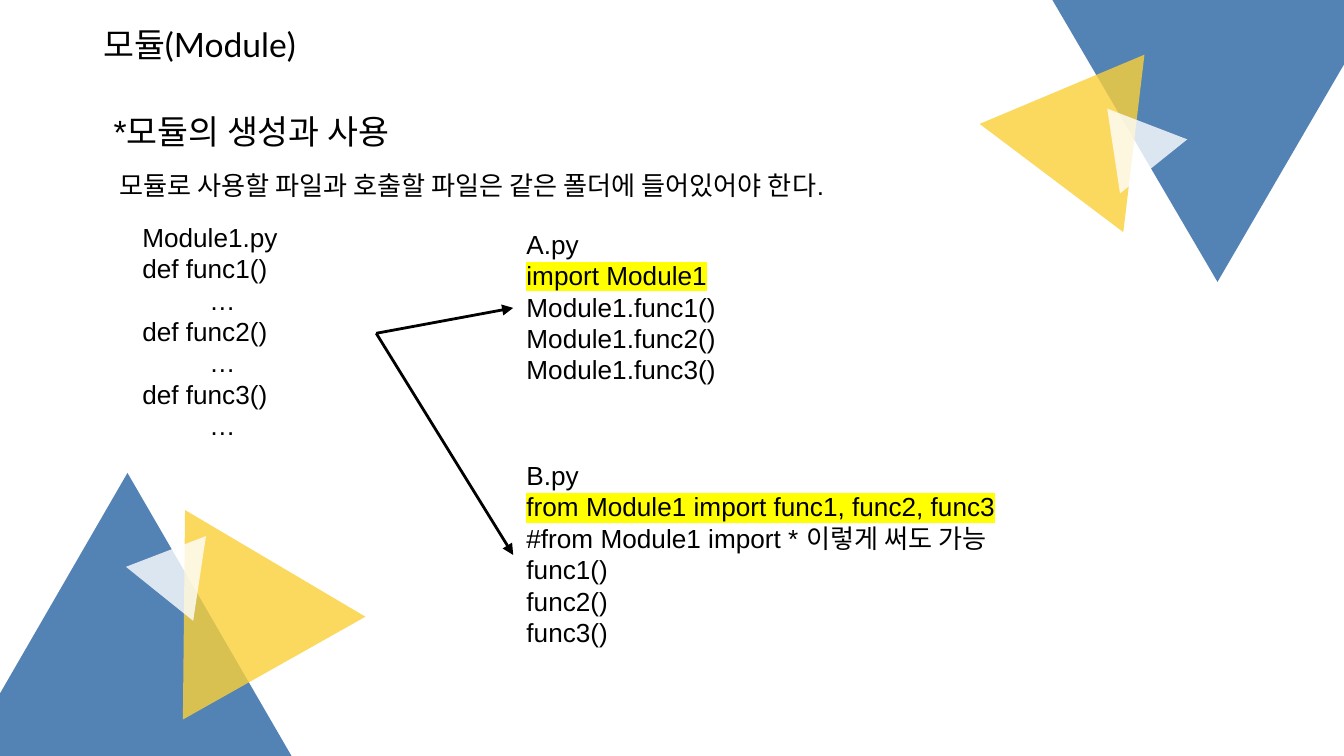
from lxml.etree import SubElement
from pptx import Presentation
from pptx.dml.color import RGBColor
from pptx.enum.shapes import MSO_CONNECTOR, MSO_SHAPE
from pptx.oxml.ns import qn
from pptx.util import Cm, Pt


def color(value):
    return RGBColor.from_string(value)


def add_text(text, left, top, width, height, size=14, font="Arial", highlighted=None):
    box = slide.shapes.add_textbox(Cm(left), Cm(top), Cm(width), Cm(height))
    frame = box.text_frame
    frame.word_wrap = True
    for index, line in enumerate(text.split("\n")):
        paragraph = frame.paragraphs[0] if index == 0 else frame.add_paragraph()
        run = paragraph.add_run()
        run.text = line
        run.font.size = Pt(size)
        run.font.color.rgb = color("000000")
        properties = run.font._element
        if index == highlighted:
            highlight = SubElement(properties, qn("a:highlight"))
            SubElement(highlight, qn("a:srgbClr"), val="FFFF00")
        run.font.name = font
        SubElement(properties, qn("a:ea"), typeface="Noto Sans CJK KR")


presentation = Presentation()
presentation.slide_width = Cm(25.4)
presentation.slide_height = Cm(14.29)
slide = presentation.slides.add_slide(presentation.slide_layouts[6])

decorations = []
corners = [
    [(2.41, 8.94), (5.51, 14.29), (0, 14.29), (0, 13.11)],
    [(19.89, 0), (25.4, 0), (25.4, 1.22), (23.01, 5.33)],
]
for corner in corners:
    points = [(Cm(x), Cm(y)) for x, y in corner]
    builder = slide.shapes.build_freeform(*points[0])
    builder.add_line_segments(points[1:], close=True)
    decorations.append((builder.convert_to_shape(), "2963A3"))

triangles = [
    (19.05, 0.74, 3.4, 2.92, 37, "FAD038"),
    (2.36, 9.42, 3.96, 3.43, 330.6, "FAD038"),
    (2.64, 9.98, 1.63, 1.4, 38.8, "FFFFFF"),
    (20.55, 1.9, 1.63, 1.4, 321.2, "FFFFFF"),
]
for left, top, width, height, rotation, fill in triangles:
    triangle = slide.shapes.add_shape(
        MSO_SHAPE.ISOSCELES_TRIANGLE, Cm(left), Cm(top), Cm(width), Cm(height)
    )
    triangle.rotation = rotation
    decorations.append((triangle, fill))

for shape, fill in decorations:
    shape.shadow.inherit = False
    shape.line.fill.background()
    shape.fill.solid()
    shape.fill.fore_color.rgb = color(fill)
    fill_color = shape._element.spPr.find(qn("a:solidFill"))[0]
    SubElement(fill_color, qn("a:alpha"), val="80000")

add_text("모듈(Module)", 1.7, 0.33, 7.62, 1.02, size=18, font="Lato")
add_text("*모듈의 생성과 사용", 1.9, 1.98, 10.54, 1.02, size=18)
add_text("모듈로 사용할 파일과 호출할 파일은 같은 폴더에 들어있어야 한다.", 2, 3.07, 15.95, 0.86)

functions = ["func1()", "func2()", "func3()"]
definitions = [f"def {function}\n\t…" for function in functions]
calls = [f"Module1.{function}" for function in functions]
add_text("\n".join(["Module1.py", *definitions]), 2.44, 4.06, 4.67, 4.45)
add_text("\n".join(["A.py", "import Module1", *calls]), 9.7, 4.19, 5, 3.25, highlighted=1)
add_text(
    "\n".join([
        "B.py",
        "from Module1 import func1, func2, func3",
        "#from Module1 import * 이렇게 써도 가능",
        *functions,
    ]),
    9.7, 8.56, 10.41, 3.84, highlighted=1,
)

for end_y in (5.82, 10.49):
    arrow = slide.shapes.add_connector(
        MSO_CONNECTOR.STRAIGHT, Cm(7.11), Cm(6.3), Cm(9.7), Cm(end_y)
    )
    arrow.line.color.rgb = color("000000")
    arrow.line.width = Pt(1.5)
    SubElement(arrow.line._get_or_add_ln(), qn("a:tailEnd"), type="triangle")
    SubElement(arrow._element.spPr, qn("a:effectLst"))

presentation.save("out.pptx")
